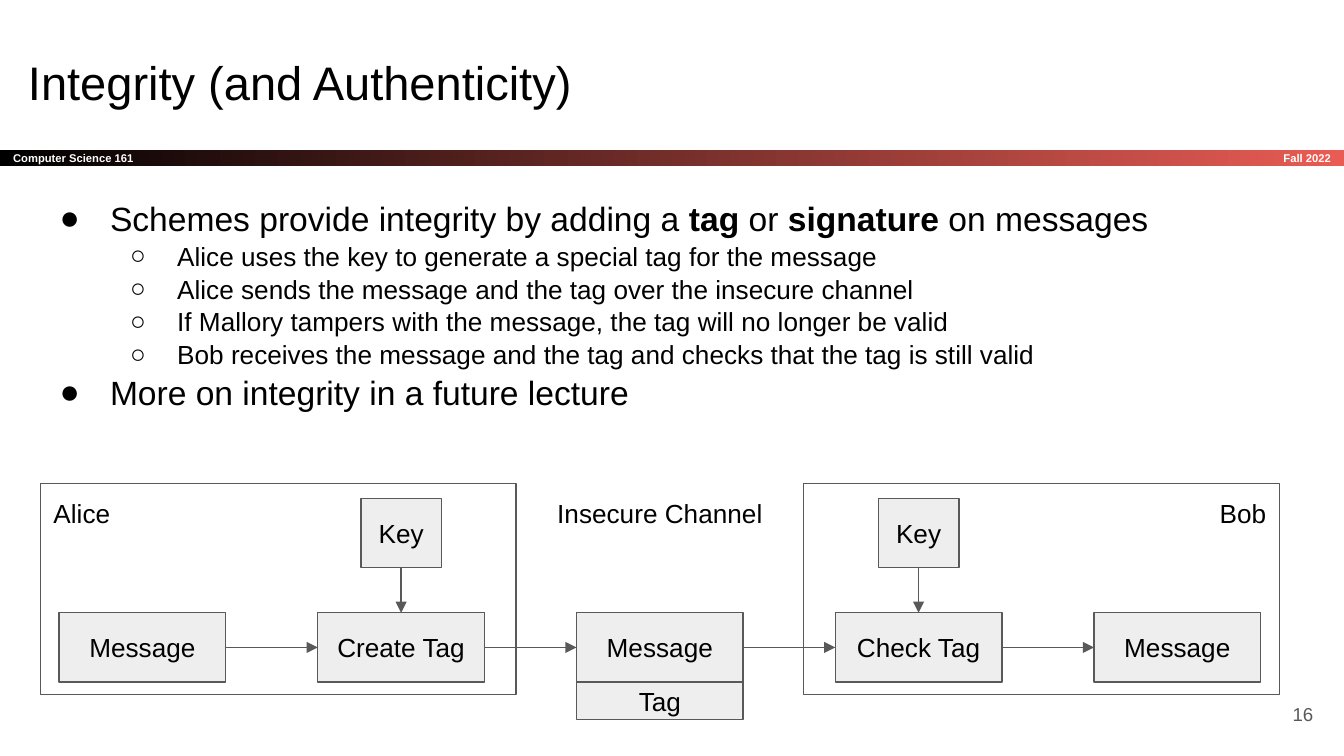
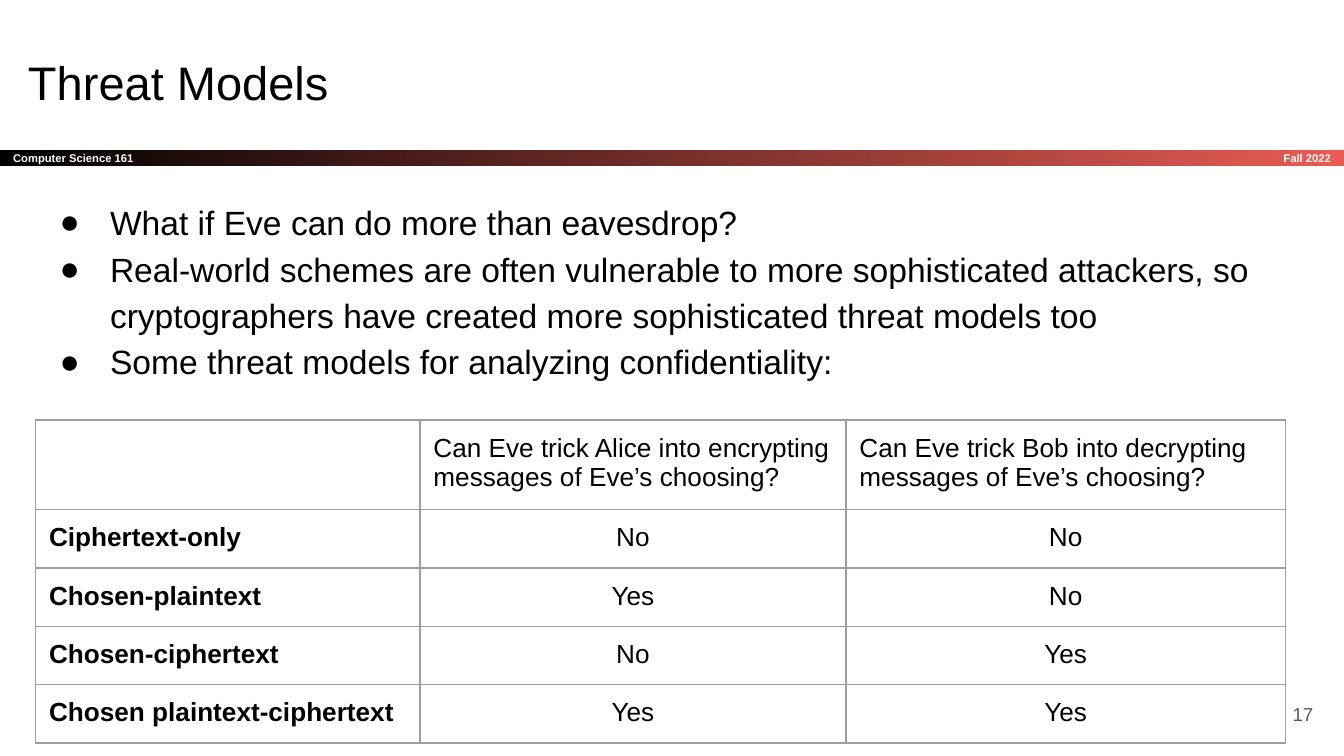
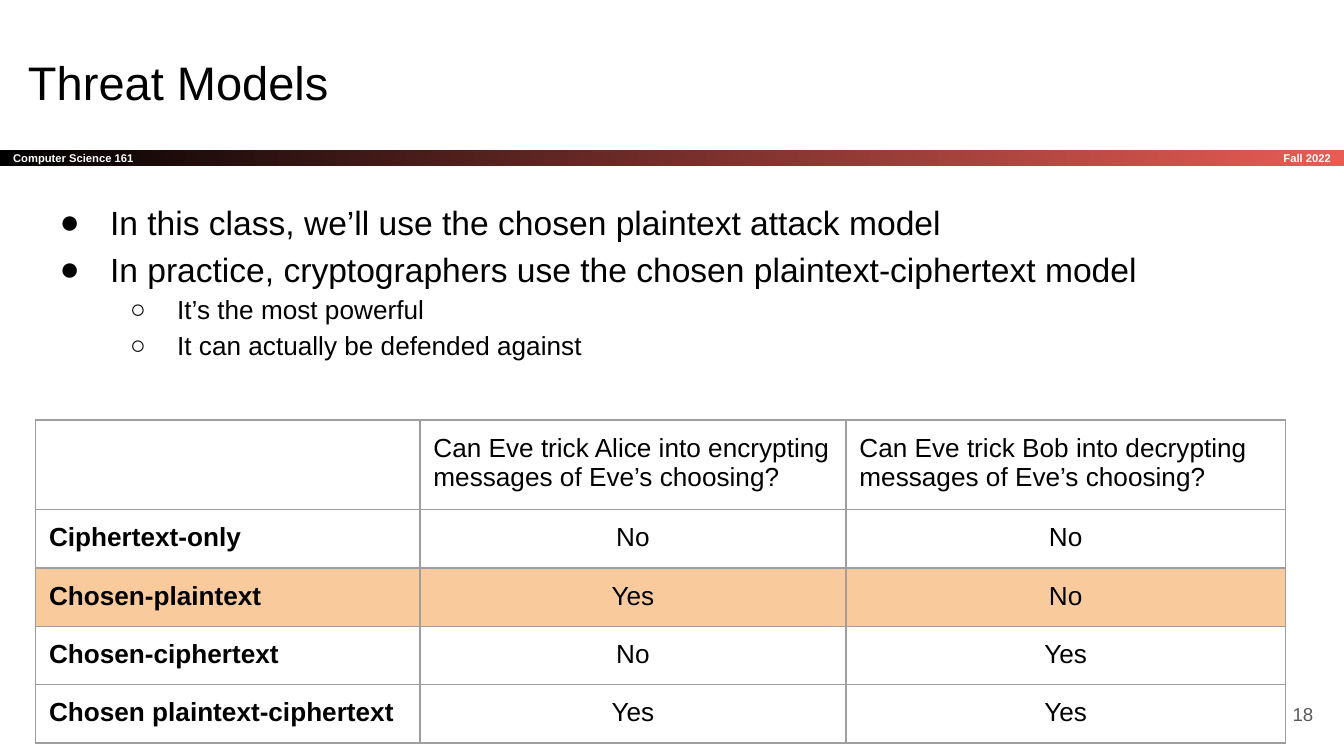
"""Build three lecture slides on integrity and threat models."""
from dataclasses import dataclass
from typing import NamedTuple

from lxml.etree import SubElement
from pptx import Presentation
from pptx.dml.color import RGBColor
from pptx.enum.shapes import MSO_CONNECTOR as Link, MSO_SHAPE as Preset
from pptx.enum.text import MSO_ANCHOR as Anchor, MSO_AUTO_SIZE as Fit, PP_ALIGN as Align
from pptx.oxml.ns import qn
from pptx.util import Inches, Pt

CELL = Inches(0.1)
COLUMNS, ROWS = 100, 56.25


@dataclass(frozen=True)
class Theme:
    """Colours, type sizes in points and line widths of the deck."""
    font: str = "Arial"
    ink: str = "000000"
    paper: str = "FFFFFF"
    accent: str = "E85C54"
    line: str = "595959"
    node: str = "EEEEEE"
    rule: str = "9E9E9E"
    highlight: str = "F9CB9C"
    title: float = 25.2
    bullet: float = 18
    detail: float = 14
    number: float = 10
    band: float = 6
    stroke: float = 0.75


THEME = Theme()


class Area(NamedTuple):
    """A rectangle in grid columns and rows."""
    left: float
    top: float
    width: float
    height: float

    def lengths(self) -> list[int]:
        """Return the rectangle in slide units."""
        return [round(value * CELL) for value in self]


class Style(NamedTuple):
    """The look of one paragraph."""
    size: float
    color: str = THEME.ink
    bold: bool = False
    align: Align = Align.LEFT


class Level(NamedTuple):
    """Bullet sign, type size and indents in columns of an outline level."""
    sign: str
    size: float
    margin: float
    hanging: float


class Bullet(NamedTuple):
    """An outline entry; every second span is bold."""
    level: int
    spans: tuple[str, ...]


class Step(NamedTuple):
    """A stage of the message flow, which may take a key."""
    label: str
    keyed: bool = False


class Label(NamedTuple):
    """A caption of the diagram."""
    text: str
    area: Area
    align: Align


class Topic(NamedTuple):
    """Title, spacing and outline of one slide."""
    title: str
    spacing: float
    bullets: tuple[Bullet, ...]


LEVELS = (Level("●", THEME.bullet, 5, 3.75), Level("○", THEME.detail, 10, 3.5))
CENTERED = Style(THEME.detail, align=Align.CENTER)

BAND = Area(0, 11.14, COLUMNS, 1.2)
TERM = Area(83.4, BAND.top, 16.6, BAND.height)
TITLE = Area(1.1, 3, 93.2, 6.3)
BODY = Area(2.2, 13.6, 93.2, 18.3)
NUMBER = Area(92.7, 51, 6, 4.3)

PARTY_TOP, PARTY_WIDTH, PARTY_HEIGHT = 36, 35.4, 15.7
PARTY_LEFTS = (3, 59.8)
STEP_LEFT, STEP_TOP, STEP_PITCH = 4.4, 45.6, 19.25
STEP_WIDTH, STEP_HEIGHT = 12.4, 5.15
KEY_TOP, KEY_WIDTH, TAG_HEIGHT = 37.1, 6, 2.8
STEPS = (Step("Message"), Step("Create Tag", True), Step("Message"),
         Step("Check Tag", True), Step("Message"))
TAGGED_STEP = 2
LABELS = (
    Label("Alice", Area(3, PARTY_TOP, 8.4, 4.4), Align.LEFT),
    Label("Bob", Area(86.8, PARTY_TOP, 8.4, 4.4), Align.RIGHT),
    Label("Insecure Channel", Area(38.4, PARTY_TOP, 21.4, 4.4), Align.CENTER),
)

TABLE_LEFT, TABLE_TOP, TABLE_ROW = 2.65, 31.25, 4.2
TABLE_COLUMNS = (28.6, 31.7, 32.7)
MODELS = (
    ("", "Can Eve trick Alice into encrypting messages of Eve’s choosing?",
     "Can Eve trick Bob into decrypting messages of Eve’s choosing?"),
    ("Ciphertext-only", "No", "No"),
    ("Chosen-plaintext", "Yes", "No"),
    ("Chosen-ciphertext", "No", "Yes"),
    ("Chosen plaintext-ciphertext", "Yes", "Yes"),
)

INTEGRITY = Topic("Integrity (and Authenticity)", 1.05, (
    Bullet(0, ("Schemes provide integrity by adding a ", "tag", " or ", "signature",
               " on messages")),
    Bullet(1, ("Alice uses the key to generate a special tag for the message",)),
    Bullet(1, ("Alice sends the message and the tag over the insecure channel",)),
    Bullet(1, ("If Mallory tampers with the message, the tag will no longer be valid",)),
    Bullet(1, ("Bob receives the message and the tag and checks that the tag is still valid",)),
    Bullet(0, ("More on integrity in a future lecture",)),
))
ATTACKERS = Topic("Threat Models", 1.15, (
    Bullet(0, ("What if Eve can do more than eavesdrop?",)),
    Bullet(0, ("Real-world schemes are often vulnerable to more sophisticated attackers, so "
               "cryptographers have created more sophisticated threat models too",)),
    Bullet(0, ("Some threat models for analyzing confidentiality:",)),
))
CHOICE = Topic("Threat Models", 1.15, (
    Bullet(0, ("In this class, we’ll use the chosen plaintext attack model",)),
    Bullet(0, ("In practice, cryptographers use the chosen plaintext-ciphertext model",)),
    Bullet(1, ("It’s the most powerful",)),
    Bullet(1, ("It can actually be defended against",)),
))


def rgb(color: str) -> RGBColor:
    """Turn a hex string into a colour."""
    return RGBColor.from_string(color)


def style_para(para, style: Style) -> None:
    """Set font and alignment of a paragraph."""
    para.alignment = style.align
    font = para.font
    font.name, font.size, font.bold = THEME.font, Pt(style.size), style.bold
    font.color.rgb = rgb(style.color)


def prepare_frame(frame, anchor: Anchor) -> None:
    """Give a text frame wrapping, equal insets and an anchor."""
    frame.word_wrap = True
    frame.margin_left = frame.margin_right = frame.margin_top = frame.margin_bottom = CELL
    frame.vertical_anchor = anchor


def write(shape, text: str, style: Style, anchor: Anchor = Anchor.MIDDLE) -> None:
    """Write one paragraph into a shape."""
    prepare_frame(shape.text_frame, anchor)
    para = shape.text_frame.paragraphs[0]
    para.text = text
    style_para(para, style)


def add_text(page, area: Area, text: str, style: Style, anchor: Anchor = Anchor.MIDDLE):
    """Add a text box with one paragraph."""
    box = page.shapes.add_textbox(*area.lengths())
    write(box, text, style, anchor)
    return box


def add_box(page, area: Area, text: str = ""):
    """Add an outlined rectangle, filled when it carries text."""
    box = page.shapes.add_shape(Preset.RECTANGLE, *area.lengths())
    box.shadow.inherit = False
    box.line.color.rgb = rgb(THEME.line)
    box.line.width = Pt(THEME.stroke)
    if text:
        box.fill.solid()
        box.fill.fore_color.rgb = rgb(THEME.node)
        write(box, text, CENTERED)
    else:
        box.fill.background()
    return box


def add_arrow(page, source, start: int, target, finish: int) -> None:
    """Join two boxes with an arrow."""
    arrow = page.shapes.add_connector(Link.STRAIGHT, *Area(0, 0, COLUMNS, ROWS).lengths())
    arrow.begin_connect(source, start)
    arrow.end_connect(target, finish)
    arrow.line.color.rgb = rgb(THEME.line)
    arrow.line.width = Pt(THEME.stroke)
    SubElement(arrow.line._get_or_add_ln(), qn("a:tailEnd"), type="triangle")
    SubElement(arrow._element.spPr, qn("a:effectLst"))


def add_band(page) -> None:
    """Draw the gradient band with course and term."""
    band = page.shapes.add_shape(Preset.RECTANGLE, *BAND.lengths())
    band.shadow.inherit = False
    band.line.fill.background()
    band.fill.gradient()
    band.fill.gradient_angle = 0
    for stop, color, position in zip(band.fill.gradient_stops, (THEME.ink, THEME.accent), (0, 1)):
        stop.color.rgb = rgb(color)
        stop.position = position
    style = Style(THEME.band, THEME.paper, bold=True)
    write(band, "Computer Science 161", style)
    add_text(page, TERM, "Fall 2022", style._replace(align=Align.RIGHT))


def add_bullets(page, topic: Topic) -> None:
    """Write the outline of a topic."""
    frame = page.shapes.add_textbox(*BODY.lengths()).text_frame
    prepare_frame(frame, Anchor.TOP)
    for index, bullet in enumerate(topic.bullets):
        para = frame.add_paragraph() if index else frame.paragraphs[0]
        level = LEVELS[bullet.level]
        para.level = bullet.level
        para.line_spacing = topic.spacing
        props = para._p.get_or_add_pPr()
        props.set("marL", str(round(level.margin * CELL)))
        props.set("indent", str(round(-level.hanging * CELL)))
        SubElement(SubElement(props, qn("a:buClr")), qn("a:srgbClr"), val=THEME.ink)
        SubElement(props, qn("a:buFont"), typeface=THEME.font)
        SubElement(props, qn("a:buChar"), char=level.sign)
        style_para(para, Style(level.size))
        for place, text in enumerate(bullet.spans):
            span = para.add_run()
            span.text = text
            if place % 2:
                span.font.bold = True


def add_page(deck, topic: Topic, number: int):
    """Add a slide with band, title, outline and page number."""
    page = deck.slides.add_slide(deck.slide_layouts[6])
    add_band(page)
    add_text(page, TITLE, topic.title, Style(THEME.title), Anchor.TOP)
    add_bullets(page, topic)
    add_text(page, NUMBER, str(number), Style(THEME.number, THEME.line, align=Align.RIGHT))
    return page


def add_flow(page) -> None:
    """Draw the tagged message on its way from Alice to Bob."""
    for left in PARTY_LEFTS:
        add_box(page, Area(left, PARTY_TOP, PARTY_WIDTH, PARTY_HEIGHT))
    previous = None
    for index, step in enumerate(STEPS):
        area = Area(STEP_LEFT + index * STEP_PITCH, STEP_TOP, STEP_WIDTH, STEP_HEIGHT)
        box = add_box(page, area, step.label)
        if previous is not None:
            add_arrow(page, previous, 3, box, 1)
        if step.keyed:
            key_left = area.left + (STEP_WIDTH - KEY_WIDTH) / 2
            key = add_box(page, Area(key_left, KEY_TOP, KEY_WIDTH, STEP_HEIGHT), "Key")
            add_arrow(page, key, 2, box, 0)
        if index == TAGGED_STEP:
            add_box(page, area._replace(top=STEP_TOP + STEP_HEIGHT, height=TAG_HEIGHT), "Tag")
        previous = box
    for label in LABELS:
        box = add_text(page, label.area, label.text, Style(THEME.detail, align=label.align),
                       Anchor.TOP)
        box.text_frame.auto_size = Fit.SHAPE_TO_FIT_TEXT


def add_borders(cell) -> None:
    """Rule all four sides of a table cell."""
    props = cell._tc.get_or_add_tcPr()
    for side in ("lnL", "lnR", "lnT", "lnB"):
        border = SubElement(props, qn(f"a:{side}"), w=str(Pt(THEME.stroke)))
        SubElement(SubElement(border, qn("a:solidFill")), qn("a:srgbClr"), val=THEME.rule)


def add_models(page, highlighted: str | None = None) -> None:
    """Add the table of threat models, with one model coloured on request."""
    area = Area(TABLE_LEFT, TABLE_TOP, sum(TABLE_COLUMNS), TABLE_ROW * len(MODELS))
    table = page.shapes.add_table(len(MODELS), len(TABLE_COLUMNS), *area.lengths()).table
    table.first_row = table.horz_banding = False
    for column, width in zip(table.columns, TABLE_COLUMNS):
        column.width = round(width * CELL)
    for row, model in enumerate(MODELS):
        for column, text in enumerate(model):
            cell = table.cell(row, column)
            cell.margin_left = cell.margin_right = cell.margin_top = cell.margin_bottom = CELL
            add_borders(cell)
            if model[0] == highlighted:
                cell.fill.solid()
                cell.fill.fore_color.rgb = rgb(THEME.highlight)
            else:
                cell.fill.background()
            cell.text = text
            style = CENTERED if row and column else Style(THEME.detail, bold=column == 0)
            style_para(cell.text_frame.paragraphs[0], style)


def main() -> None:
    """Build and save the deck."""
    deck = Presentation()
    deck.slide_width, deck.slide_height = COLUMNS * CELL, round(ROWS * CELL)
    add_flow(add_page(deck, INTEGRITY, 16))
    add_models(add_page(deck, ATTACKERS, 17))
    add_models(add_page(deck, CHOICE, 18), "Chosen-plaintext")
    deck.save("out.pptx")


if __name__ == "__main__":
    main()
